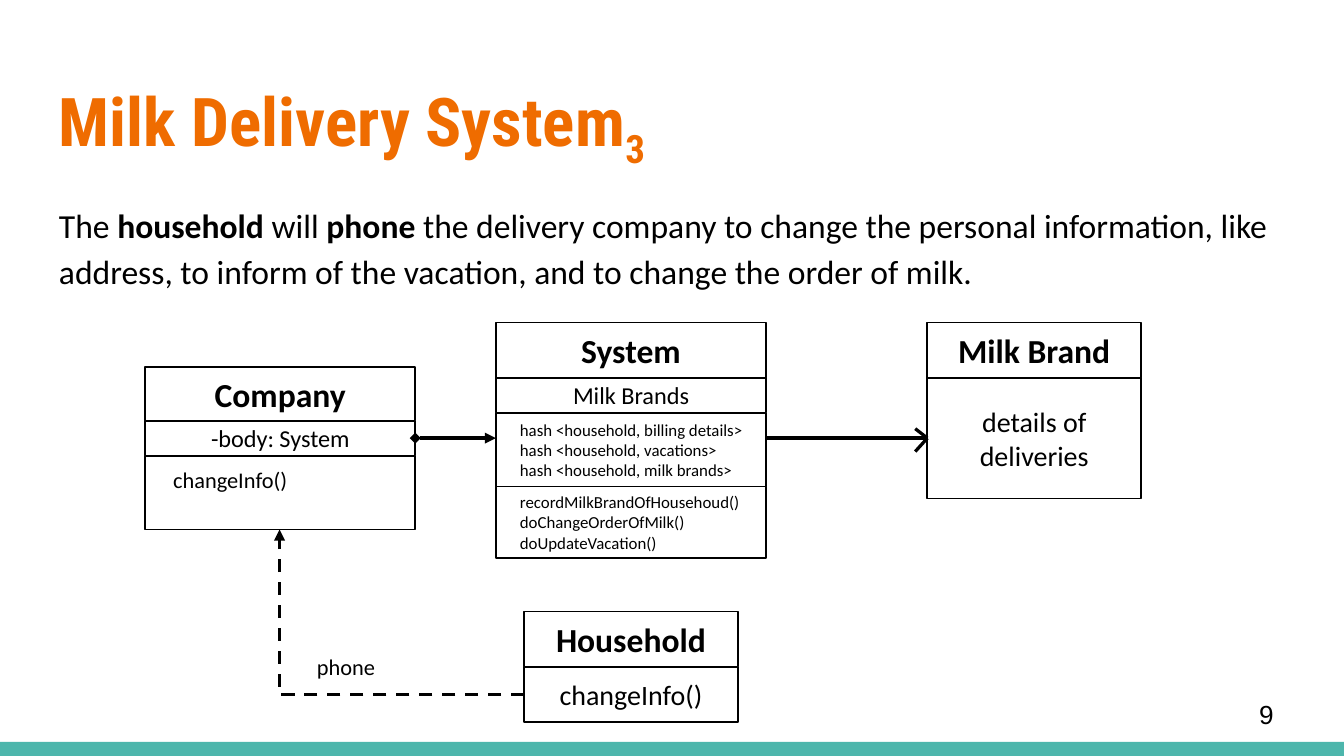
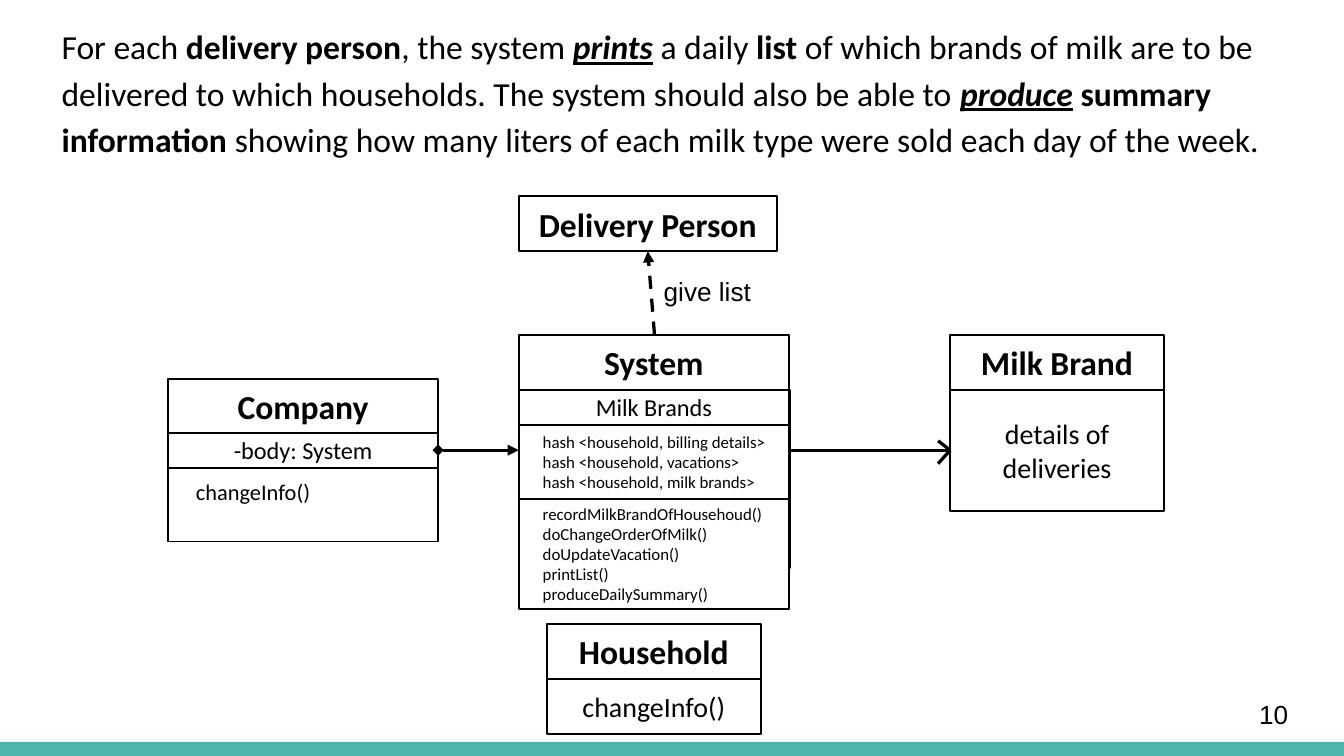
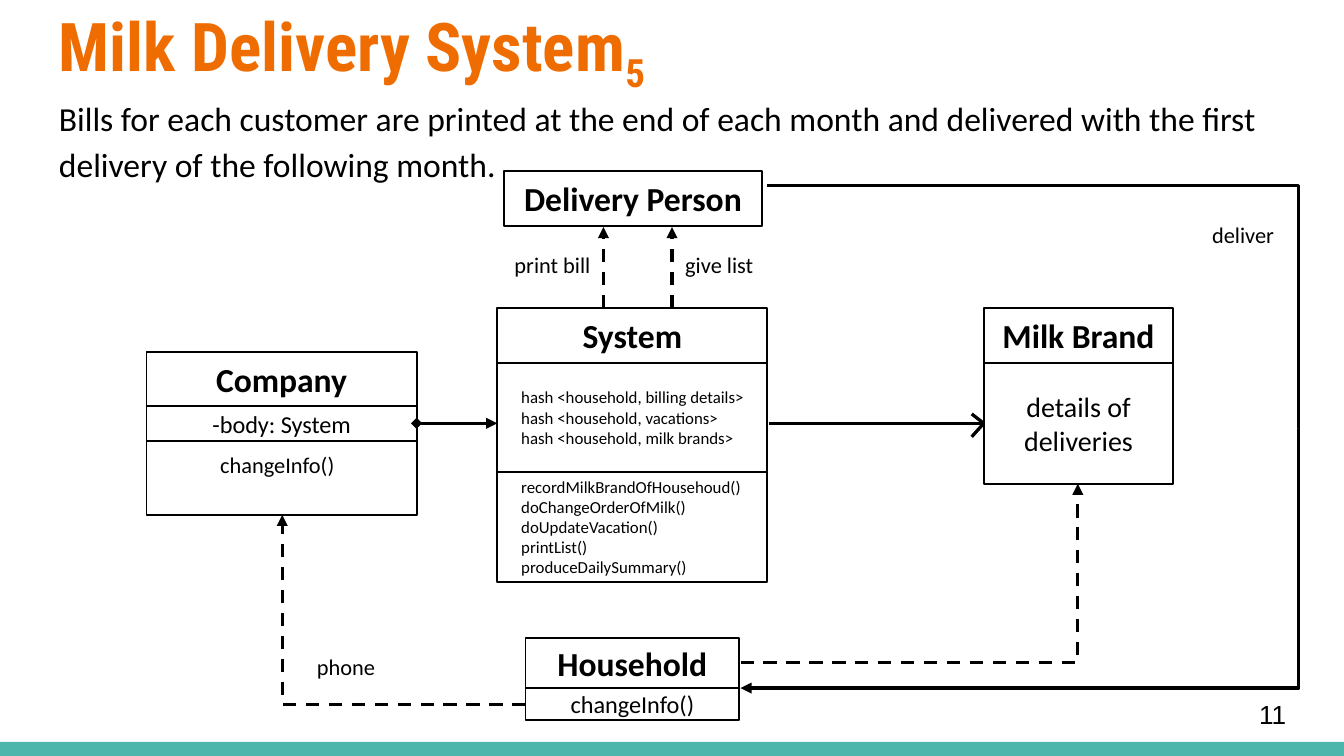
from lxml import etree
from pptx import Presentation, util as u
from pptx.dml.color import RGBColor
from pptx.enum import dml, shapes, text
from pptx.oxml.ns import qn

BLACK, WHITE, TEAL, ORANGE = "000000", "FFFFFF", "4DB6AC", "EF6C00"
CALIBRI, ARIAL, ROBOTO = "Calibri", "Arial", "Roboto Condensed"
TOP, MIDDLE = text.MSO_ANCHOR.TOP, text.MSO_ANCHOR.MIDDLE
HEAD = dict(size=18, bold=True)
KEY = dict(bold=True)
STRESS = dict(bold=True, italic=True, underline=True)
HASHES = ["hash <household, billing details>", "hash <household, vacations>",
          "hash <household, milk brands>"]
METHODS = ["recordMilkBrandOfHousehoud()\ndoChangeOrderOfMilk()", "doUpdateVacation()"]
PRINT_METHODS = METHODS + ["printList()", "produceDailySummary()"]


def rgb(value):
    return RGBColor.from_string(value)


def add_run(p, words, size=18, color=BLACK, **fmt):
    r = p.add_run()
    r.text = words
    r.font.color.rgb = rgb(color)
    for name, value in {"name": CALIBRI, "size": u.Pt(size), **fmt}.items():
        setattr(r.font, name, value)
    return r


def set_frame(tf, inset, anchor, wrap=True):
    across, down = map(u.Inches, inset)
    values = dict(word_wrap=wrap, vertical_anchor=anchor, margin_left=across,
                  margin_right=across, margin_top=down, margin_bottom=down)
    for name, value in values.items():
        setattr(tf, name, value)


def add_text(s, x, y, w, h, inset=(0.1, 0.1), anchor=TOP, wrap=True):
    tf = s.shapes.add_textbox(*map(u.Inches, (x, y, w, h))).text_frame
    set_frame(tf, inset, anchor, wrap)
    return tf.paragraphs[0]


def add_box(s, x, y, w, h, fill=WHITE, line=BLACK):
    sp = s.shapes.add_shape(shapes.MSO_SHAPE.RECTANGLE, *map(u.Inches, (x, y, w, h)))
    sp.shadow.inherit = False
    sp.fill.solid()
    sp.fill.fore_color.rgb = rgb(fill)
    if line:
        sp.line.color.rgb = rgb(line)
        sp.line.width = u.Pt(1)
    else:
        sp.line.fill.background()
    return sp


def add_cell(s, x, y, w, h, lines, indent=None, top=None, **fmt):
    tf = add_box(s, x, y, w, h).text_frame
    set_frame(tf, (0.1, top or 0.05), TOP if top else MIDDLE)
    for i, words in enumerate(lines):
        p = tf.add_paragraph() if i else tf.paragraphs[0]
        p.alignment = text.PP_ALIGN.CENTER if indent is None else text.PP_ALIGN.LEFT
        if indent is not None:
            p._p.get_or_add_pPr().set("marL", str(u.Inches(indent)))
        for j, part in enumerate(words.split("\n")):
            if j:
                p.add_line_break()
            add_run(p, part, **fmt)


def add_class(s, x, y, w, *rows):
    for h, lines, fmt in rows:
        add_cell(s, x, y, w, h, lines, **fmt)
        y += h


def add_line(s, start, end, dash=False, head=None, tail=None, bend=None, adj=None):
    kind = shapes.MSO_CONNECTOR.ELBOW if bend else shapes.MSO_CONNECTOR.STRAIGHT
    sp = s.shapes.add_connector(kind, *map(u.Inches, (*start, *end)))
    sp.line.color.rgb = rgb(BLACK)
    sp.line.width = u.Pt(1.75)
    if dash:
        sp.line.dash_style = dml.MSO_LINE.DASH
    spPr = sp._element.spPr
    for tag, shape in (("a:headEnd", head), ("a:tailEnd", tail)):
        if shape:
            etree.SubElement(spPr.find(qn("a:ln")), qn(tag)).set("type", shape)
    etree.SubElement(spPr, qn("a:effectLst"))
    if bend:
        geom = spPr.find(qn("a:prstGeom"))
        geom.set("prst", bend)
        if adj is not None:
            gd = etree.SubElement(geom.find(qn("a:avLst")), qn("a:gd"))
            gd.set("name", "adj1")
            gd.set("fmla", f"val {adj}")
        xfrm = spPr.find(qn("a:xfrm"))
        if xfrm.get("flipH") and xfrm.get("flipV"):
            del xfrm.attrib["flipH"], xfrm.attrib["flipV"]
            xfrm.set("rot", "10800000")


def add_open_arrow(s, x1, x2, y):
    add_line(s, (x1, y), (x2, y))
    for dy in (-0.07, 0.1):
        add_line(s, (x2, y), (x2 - 0.09, y + dy))


def add_label(s, x, y, w, words, h=0.3, size=12, **fmt):
    p = add_text(s, x, y, w, h, inset=(0.1, 0.05), wrap=False)
    add_run(p, words, size, **fmt)


def add_title(s, y, number):
    p = add_text(s, 0.34, y, 9.32, 0.77)
    for words in ("Milk Delivery System", number):
        r = add_run(p, words, 36, ORANGE, bold=True, name=ROBOTO)
    r.font._element.set("baseline", "-25000")


def add_body(s, x, y, *parts):
    p = add_text(s, x, y, 9.32, 3.61)
    p.line_spacing = 1.15
    p.space_after = u.Pt(16)
    for words, fmt in parts:
        add_run(p, words, **fmt)


def add_slide(prs, number):
    s = prs.slides.add_slide(prs.slide_layouts[6])
    add_box(s, 0, 5.52, 10, 0.11, TEAL, None)
    p = add_text(s, 9.27, 5.1, 0.6, 0.43, anchor=MIDDLE)
    add_run(p, number, 14, name=ARIAL)
    return s


def add_company(s, x, y, indent=0.11):
    add_class(s, x, y, 2.01,
              (0.4, ["Company"], HEAD),
              (0.26, ["-body: System"], dict(size=13)),
              (0.55, ["changeInfo()"], dict(size=12, indent=indent, top=0.08)))
    add_line(s, (x + 2.01, y + 0.53), (x + 2.61, y + 0.53), head="diamond", tail="triangle")


def add_system(s, x, y, methods, methods_h, brands=True):
    code = dict(size=9, indent=0.08)
    brand_row = [(0.26, ["Milk Brands"], dict(size=13))] if brands else []
    add_class(s, x, y, 2.01,
              (0.41, ["System"], HEAD), *brand_row,
              (0.55 if brands else 0.81, HASHES, code),
              (methods_h, methods, code))


def add_milk_brand(s, x, y, w=1.59):
    add_class(s, x, y, w, (0.41, ["Milk Brand"], HEAD),
              (0.9, ["details of deliveries"], dict(size=15)))


def add_household(s, x, y, head_h=0.41, row_h=0.41, size=15):
    add_class(s, x, y, 1.59, (head_h, ["Household"], HEAD),
              (row_h, ["changeInfo()"], dict(size=size)))


def add_delivery_person(s, x, y):
    add_class(s, x, y, 1.92, (0.41, ["Delivery Person"], HEAD))


def add_phone(s, start, end):
    add_line(s, start, end, dash=True, tail="triangle", bend="bentConnector2")
    add_label(s, 2.26, 4.81, 0.64, "phone")


def build_phone_slide(prs):
    s = add_slide(prs, "9")
    add_title(s, 0.49, "3")
    add_body(s, 0.34, 1.38, ("The ", {}), ("household", KEY), (" will ", {}), ("phone", KEY),
             (" the delivery company to change the personal information, like address, "
              "to inform of the vacation, and to change the order of milk.", {}))
    add_milk_brand(s, 6.9, 2.4)
    add_system(s, 3.69, 2.4, METHODS, 0.53)
    add_open_arrow(s, 5.7, 6.9, 3.26)
    add_household(s, 3.9, 4.55)
    add_company(s, 1.08, 2.73)
    add_phone(s, (3.9, 5.17), (2.08, 3.94))


def build_list_slide(prs):
    s = add_slide(prs, "10")
    add_body(s, 0.36, 0.05, ("For each ", {}), ("delivery person", KEY), (", the system ", {}),
             ("prints", STRESS), (" a daily ", {}), ("list", KEY),
             (" of which brands of milk are to be delivered to which households. "
              "The system should also be able to ", {}),
             ("produce", STRESS), (" ", {}), ("summary information", KEY),
             (" showing how many liters of each milk type were sold each day of the week.", {}))
    add_milk_brand(s, 7.07, 2.49)
    add_box(s, 3.87, 2.9, 2.01, 1.33)
    add_system(s, 3.86, 2.49, PRINT_METHODS, 0.82)
    add_open_arrow(s, 5.88, 7.07, 3.35)
    add_household(s, 4.07, 4.64)
    add_company(s, 1.25, 2.82)
    add_delivery_person(s, 3.86, 1.46)
    add_line(s, (4.87, 2.49), (4.82, 1.87), dash=True, tail="triangle")
    add_label(s, 4.84, 2, 0.86, "give list", 0.34, 14, name=ARIAL)


def build_bill_slide(prs):
    s = add_slide(prs, "11")
    add_title(s, -0.07, "5")
    add_body(s, 0.34, 0.58,
             ("Bills for each customer are printed at the end of each month and delivered "
              "with the first delivery of the following month.", {}))
    add_milk_brand(s, 7.32, 2.29, 1.41)
    add_system(s, 3.7, 2.29, PRINT_METHODS, 0.82, brands=False)
    add_open_arrow(s, 5.72, 7.32, 3.15)
    add_household(s, 3.91, 4.75, 0.37, 0.24, 13)
    add_company(s, 1.09, 2.62, indent=0.45)
    add_delivery_person(s, 3.75, 1.27)
    for x, label_x, w, words in ((4.49, 3.73, 0.77, "print bill"), (5, 5, 0.72, "give list")):
        add_line(s, (x, 2.29), (x, 1.69), dash=True, tail="triangle")
        add_label(s, label_x, 1.82, w, words)
    add_phone(s, (3.91, 5.24), (2.1, 3.83))
    add_line(s, (5.51, 4.93), (8.02, 3.6), dash=True, tail="triangle", bend="bentConnector2")
    add_line(s, (5.71, 1.38), (9.66, 3.19), bend="bentConnector3", adj=100100)
    add_line(s, (9.66, 3.19), (5.51, 5.12), tail="triangle", bend="bentConnector3", adj=-100)
    add_label(s, 8.92, 1.6, 0.67, "deliver")


def main():
    prs = Presentation()
    prs.slide_width = u.Inches(10)
    prs.slide_height = prs.slide_width * 9 // 16
    build_phone_slide(prs)
    build_list_slide(prs)
    build_bill_slide(prs)
    prs.save("out.pptx")


main()
